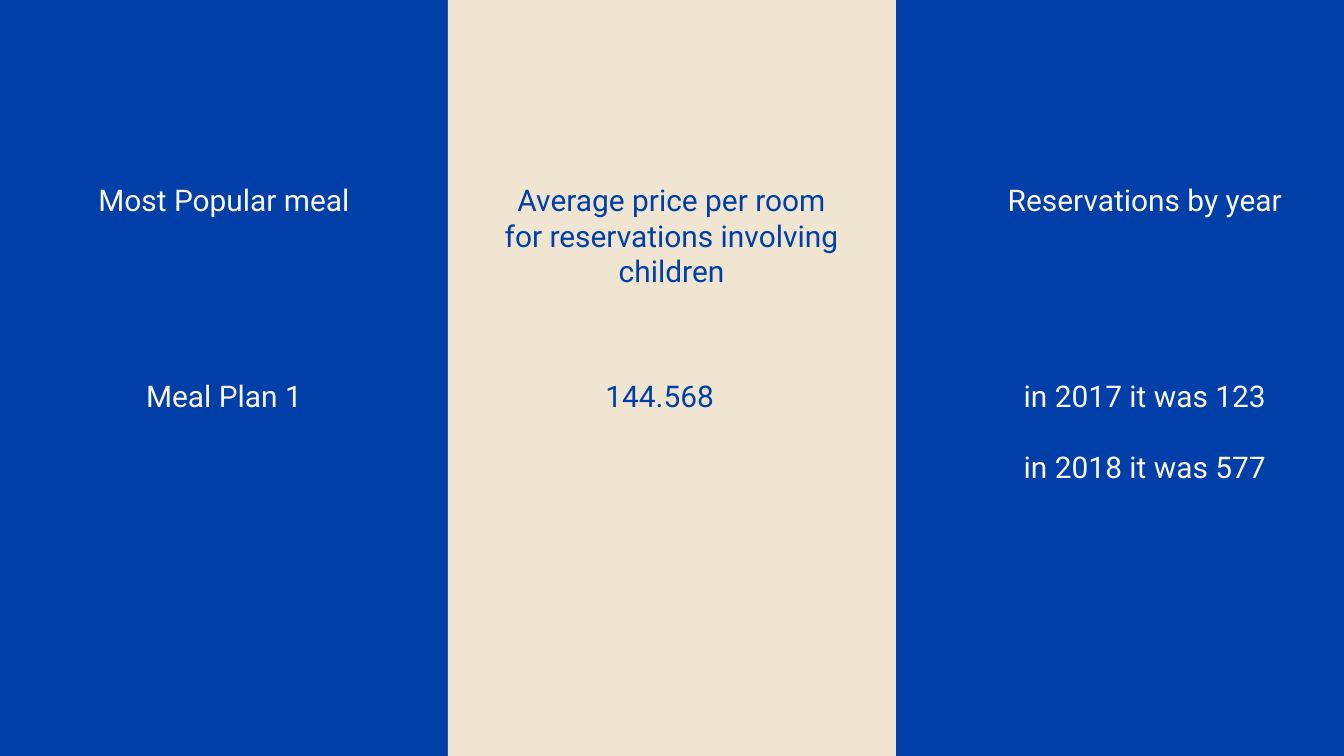
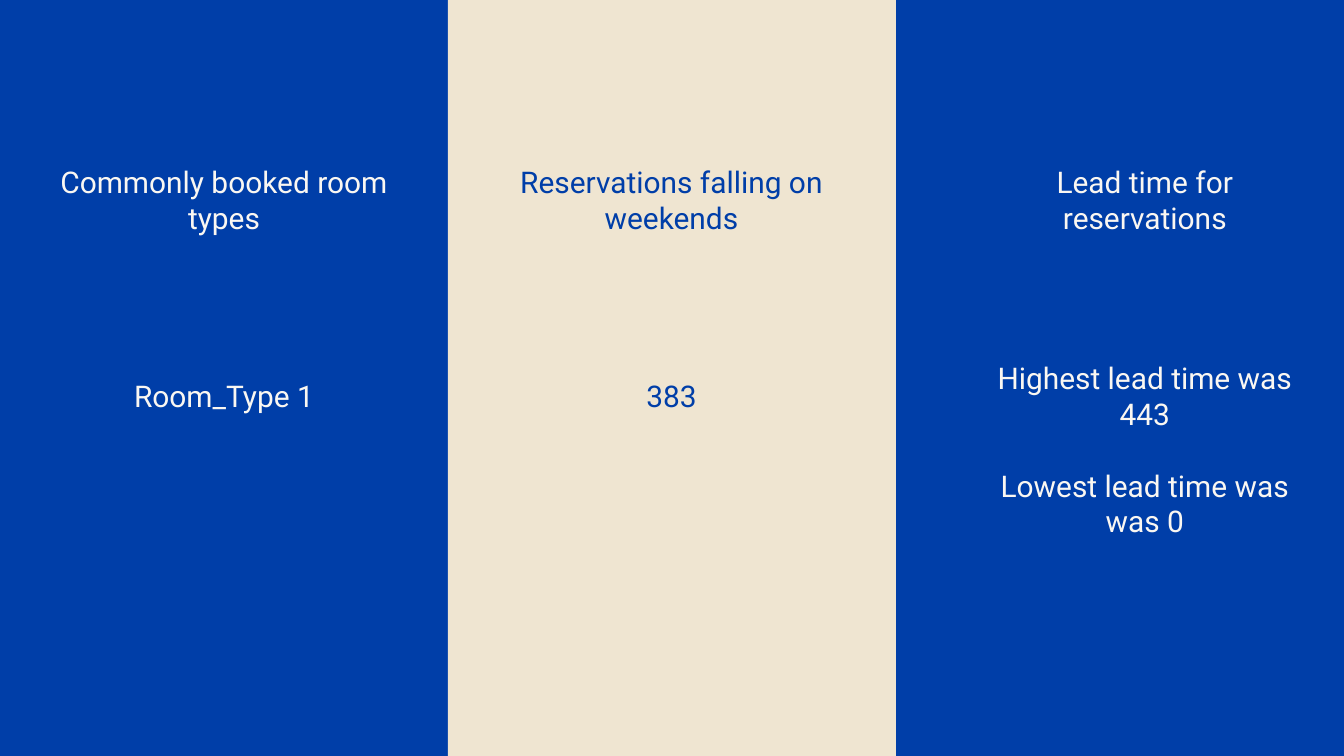
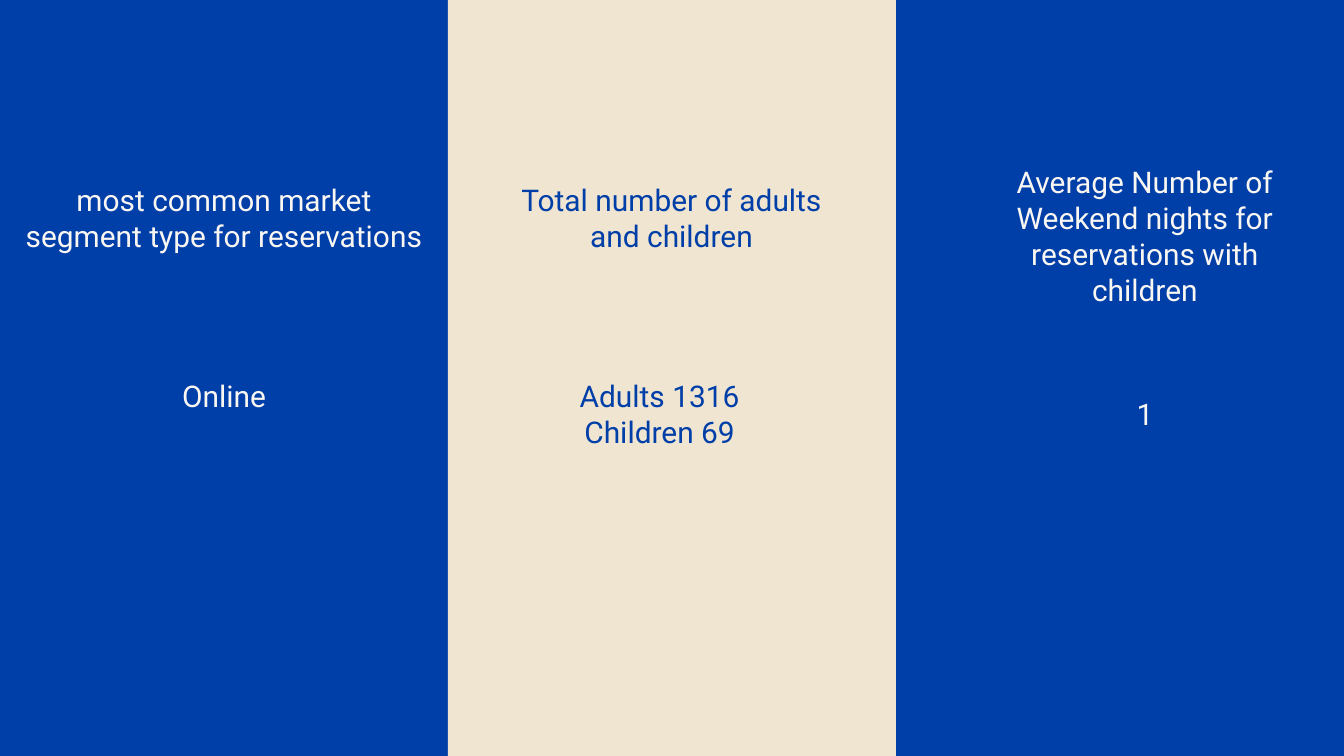
from dataclasses import dataclass

from pptx import Presentation
from pptx.dml.color import RGBColor
from pptx.enum.shapes import MSO_SHAPE
from pptx.enum.text import MSO_AUTO_SIZE, PP_ALIGN
from pptx.presentation import Presentation as Deck
from pptx.slide import Slide
from pptx.util import Cm, Pt

RECTANGLE = MSO_SHAPE.RECTANGLE
CENTER = PP_ALIGN.CENTER
GROW = MSO_AUTO_SIZE.SHAPE_TO_FIT_TEXT

BLUE = "003EA8"
SAND = "EFE5D1"
IVORY = "FAF7F2"
FONT = "Roboto"
FONT_SIZE = Pt(32)
LEADING = Pt(38.4)

SLIDE_W = 50.8
SLIDE_H = 28.58
LINE_H = 1.345
HEADING_TOP = 6.86
ANSWER_TOP = 14.27


@dataclass(frozen=True)
class Column:
    left: float
    width: float
    band: str
    ink: str


@dataclass(frozen=True)
class Block:
    paragraphs: tuple[str, ...]
    lines: int
    line_shift: float = 0
    nudge: float = 0
    spaced: bool = False


@dataclass(frozen=True)
class Fact:
    heading: Block
    answer: Block


COLUMNS = (
    Column(0.94, 15.06, BLUE, IVORY),
    Column(19.02, 12.73, SAND, BLUE),
    Column(36.91, 12.73, BLUE, IVORY),
)

SLIDES = (
    (
        Fact(Block(("Most Popular meal",), 1), Block(("Meal Plan 1",), 2)),
        Fact(
            Block(("Average price per room for reservations involving children",), 4),
            Block(("144.568",), 2, nudge=-0.45),
        ),
        Fact(
            Block(("Reservations by year",), 2),
            Block(("in 2017 it was 123", "in 2018 it was 577"), 4, spaced=True),
        ),
    ),
    (
        Fact(Block(("Commonly booked room types",), 2, -0.5), Block(("Room_Type 1",), 2)),
        Fact(Block(("Reservations falling on weekends",), 3, -0.5), Block(("383",), 1)),
        Fact(
            Block(("Lead time for reservations",), 2, -0.5),
            Block(("Highest lead time was 443", "Lowest lead time was was 0"), 5, -0.5, spaced=True),
        ),
    ),
    (
        Fact(
            Block(("most common market segment type for reservations",), 3),
            Block(("Online",), 2),
        ),
        Fact(
            Block(("Total number of adults and children",), 3),
            Block(("Adults 1316", "Children 69"), 2, nudge=-0.45),
        ),
        Fact(
            Block(("Average Number of Weekend nights for reservations with children",), 5, -0.5),
            Block(("1",), 1, 0.5),
        ),
    ),
)


def color(value: str) -> RGBColor:
    return RGBColor.from_string(value)


def add_bands(s: Slide) -> None:
    band_w = SLIDE_W / len(COLUMNS)
    for i, column in enumerate(COLUMNS):
        sp = s.shapes.add_shape(RECTANGLE, Cm(i * band_w), 0, Cm(band_w), Cm(SLIDE_H))
        sp.shadow.inherit = False
        sp.fill.solid()
        sp.fill.fore_color.rgb = color(column.band)
        sp.line.fill.background()


def add_block(s: Slide, column: Column, block: Block, base_top: float) -> None:
    top = base_top + block.line_shift * LINE_H
    sp = s.shapes.add_textbox(
        Cm(column.left + block.nudge), Cm(top), Cm(column.width), Cm(block.lines * LINE_H)
    )
    tf = sp.text_frame
    tf.word_wrap = True
    tf.auto_size = GROW
    tf.margin_left = tf.margin_top = tf.margin_right = tf.margin_bottom = 0
    tf.text = "\n".join(block.paragraphs)
    for i, p in enumerate(tf.paragraphs):
        p.alignment = CENTER
        p.line_spacing = LEADING
        if block.spaced and i:
            p.space_before = LEADING
        for r in p.runs:
            r.font.name = FONT
            r.font.size = FONT_SIZE
            r.font.color.rgb = color(column.ink)


def add_fact_slide(prs: Deck, facts: tuple[Fact, ...]) -> None:
    s = prs.slides.add_slide(prs.slide_layouts[6])
    s.background.fill.solid()
    s.background.fill.fore_color.rgb = color(IVORY)
    add_bands(s)
    for column, fact in zip(COLUMNS, facts):
        add_block(s, column, fact.heading, HEADING_TOP)
        add_block(s, column, fact.answer, ANSWER_TOP)


def main() -> None:
    prs = Presentation()
    prs.slide_width = Cm(SLIDE_W)
    prs.slide_height = Cm(SLIDE_H)
    for facts in SLIDES:
        add_fact_slide(prs, facts)
    prs.save("out.pptx")


if __name__ == "__main__":
    main()
